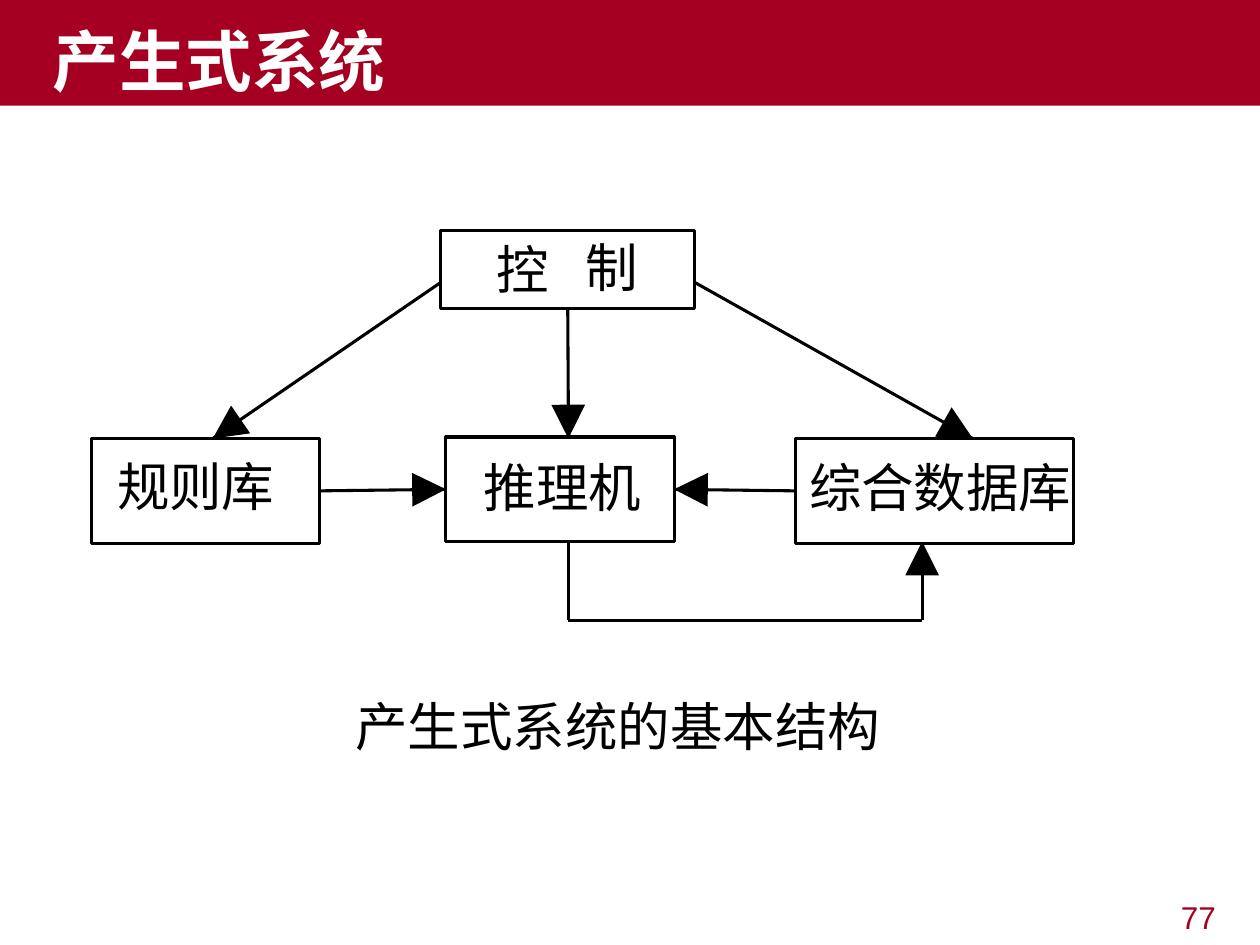
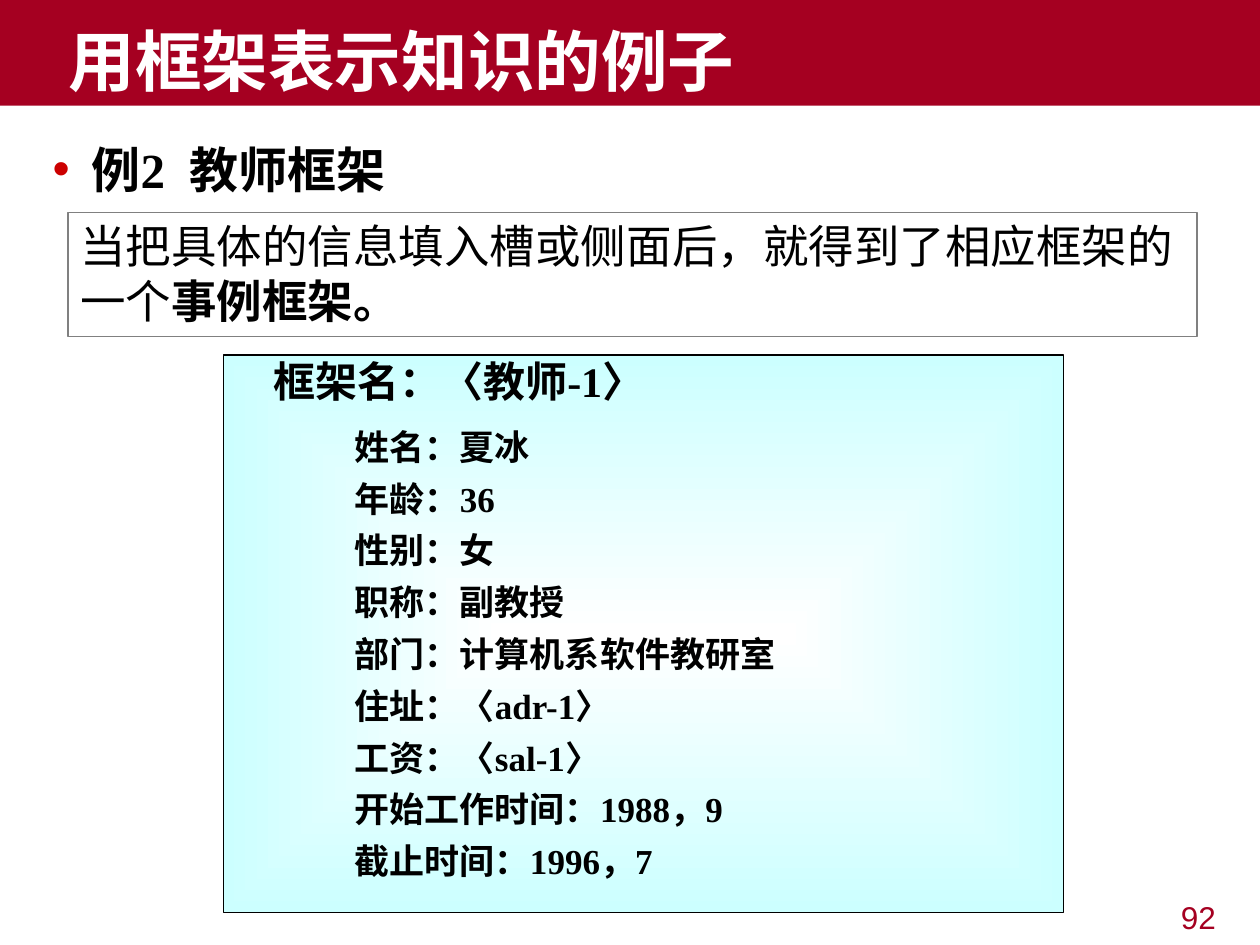
from math import hypot

from lxml.etree import SubElement
from pptx import Presentation
from pptx.dml.color import RGBColor
from pptx.enum.shapes import MSO_CONNECTOR, MSO_SHAPE
from pptx.enum.text import MSO_ANCHOR, MSO_AUTO_SIZE, PP_ALIGN
from pptx.oxml.ns import qn
from pptx.util import Cm, Pt

COLORS = {
    "band": "A50021", "white": "FFFFFF", "black": "000000",
    "bullet": "CC0000", "frame": "CCFFFF", "border": "808080",
}
SANS, SERIF, CHINESE = "Arial", "Times New Roman", "Noto Sans CJK SC"
LINE_HEIGHT = 1.19

# Lengths are centimetres: left, top, width, height
BOXES = {
    "control": (8.89, 4.65, 5.11, 1.57),
    "rules": (1.85, 8.84, 4.6, 2.11),
    "inference": (8.99, 8.81, 4.6, 2.11),
    "database": (16.03, 8.84, 5.61, 2.11),
}
LABELS = [
    ("控", 10.01, 4.8),
    ("制", 11.81, 4.75),
    ("规则库", 2.36, 9.17),
    ("推理机", 9.75, 9.19),
    ("综合数据库", 16.31, 9.19),
    ("产生式系统的基本结构", 7.16, 14),
]
# Start, end, has arrowhead; an end is a point or a (box, side) pair
LINKS = [
    (("control", 2), (11.46, 8.84), True),
    ((8.89, 5.69), (4.29, 8.84), True),
    ((14, 5.69), (19.61, 8.84), True),
    (("rules", 3), ("inference", 1), True),
    (("database", 1), ("inference", 3), True),
    ((11.46, 10.92), (11.46, 12.5), False),
    ((11.46, 12.5), (18.59, 12.5), False),
    ((18.59, 12.5), (18.59, 10.92), True),
]
HEAD_LENGTH, HEAD_HALF_WIDTH = Cm(0.68), Cm(0.34)

FRAME_NAME = "框架名：〈教师-1〉"
SLOTS = [
    "姓名：夏冰", "年龄：36", "性别：女", "职称：副教授", "部门：计算机系软件教研室",
    "住址：〈adr-1〉", "工资：〈sal-1〉", "开始工作时间：1988，9", "截止时间：1996，7",
]


def rgb(name):
    return RGBColor.from_string(COLORS[name])


def add_run(paragraph, text, size, font=SANS, color="black", bold=False):
    run = paragraph.add_run()
    run.text = text
    run.font.name, run.font.size, run.font.bold = font, Pt(size), bold
    run.font.color.rgb = rgb(color)
    properties = run._r.get_or_add_rPr()
    SubElement(properties, qn("a:ea")).set("typeface", CHINESE)
    return run


def format_paragraph(paragraph, size, factor=LINE_HEIGHT, margin=0, indent=0):
    paragraph.alignment = PP_ALIGN.LEFT
    paragraph.line_spacing = Pt(round(size * factor, 1))
    properties = paragraph._p.get_or_add_pPr()
    properties.set("marL", str(Cm(margin)))
    properties.set("indent", str(Cm(indent)))


def add_rectangle(slide, place, fill=None, line=None, width=0.75):
    shape = slide.shapes.add_shape(MSO_SHAPE.RECTANGLE, *map(Cm, place))
    shape.shadow.inherit = False
    if fill:
        shape.fill.solid()
        shape.fill.fore_color.rgb = rgb(fill)
    else:
        shape.fill.background()
    if line:
        shape.line.color.rgb = rgb(line)
        shape.line.width = Pt(width)
    else:
        shape.line.fill.background()
    shape.text_frame.word_wrap = True
    shape.text_frame.vertical_anchor = MSO_ANCHOR.TOP
    return shape


def add_text_box(slide, place):
    text_box = slide.shapes.add_textbox(*map(Cm, place))
    text_box.text_frame.word_wrap = True
    return text_box.text_frame


def add_base_slide(presentation, title, title_margin, number):
    slide = presentation.slides.add_slide(presentation.slide_layouts[6])
    paragraph = add_text_box(slide, (19.25, 17.98, 5.51, 0.99)).paragraphs[0]
    paragraph.alignment = PP_ALIGN.RIGHT
    add_run(paragraph, number, 18, color="band")
    band = add_rectangle(slide, (0, 0, 25.4, 2.13), fill="band").text_frame
    band.vertical_anchor = MSO_ANCHOR.BOTTOM
    format_paragraph(band.paragraphs[0], 38, margin=title_margin)
    add_run(band.paragraphs[0], title, 38, SERIF, "white", True)
    return slide


def add_label(slide, text, left, top):
    frame = add_text_box(slide, (left, top, 1.06 * len(text), 1.27))
    frame.word_wrap = False
    frame.auto_size = MSO_AUTO_SIZE.SHAPE_TO_FIT_TEXT
    frame.margin_left = frame.margin_right = frame.margin_top = frame.margin_bottom = 0
    format_paragraph(frame.paragraphs[0], 30)
    add_run(frame.paragraphs[0], text, 30, CHINESE)


def add_arrowhead(slide, connector):
    """Draw a filled triangle whose tip is the end of the connector."""
    tip_x, tip_y = connector.end_x, connector.end_y
    run_x, run_y = tip_x - connector.begin_x, tip_y - connector.begin_y
    length = hypot(run_x, run_y)
    unit_x, unit_y = run_x / length, run_y / length
    base_x, base_y = tip_x - HEAD_LENGTH * unit_x, tip_y - HEAD_LENGTH * unit_y
    corners = [
        (round(base_x - side * unit_y), round(base_y + side * unit_x))
        for side in (HEAD_HALF_WIDTH, -HEAD_HALF_WIDTH)
    ]
    builder = slide.shapes.build_freeform(tip_x, tip_y)
    builder.add_line_segments(corners, close=True)
    head = builder.convert_to_shape()
    head.shadow.inherit = False
    head.fill.solid()
    head.fill.fore_color.rgb = rgb("black")
    head.line.fill.background()


def add_link(slide, boxes, start, end, has_head):
    points = [(0, 0) if point[0] in boxes else point for point in (start, end)]
    connector = slide.shapes.add_connector(
        MSO_CONNECTOR.STRAIGHT, *(Cm(value) for point in points for value in point))
    connector.line.color.rgb = rgb("black")
    connector.line.width = Pt(1.75)
    SubElement(connector._element.spPr, qn("a:effectLst"))
    if start[0] in boxes:
        connector.begin_connect(boxes[start[0]], start[1])
    if end[0] in boxes:
        connector.end_connect(boxes[end[0]], end[1])
    if has_head:
        add_arrowhead(slide, connector)


def build_structure_slide(presentation):
    slide = add_base_slide(presentation, "产生式系统", 0.81, "77")
    boxes = {name: add_rectangle(slide, place, line="black", width=1.75)
             for name, place in BOXES.items()}
    for label in LABELS:
        add_label(slide, *label)
    for link in LINKS:
        add_link(slide, boxes, *link)


def fill_from_center(shape, center, edge):
    shape.fill.gradient()
    for stop, color in zip(shape.fill.gradient_stops, (center, edge)):
        stop.color.rgb = rgb(color)
    gradient = shape._element.spPr.find(qn("a:gradFill"))
    gradient.remove(gradient.find(qn("a:lin")))
    shade = SubElement(gradient, qn("a:path"))
    shade.set("path", "shape")
    rectangle = SubElement(shade, qn("a:fillToRect"))
    for side in "ltrb":
        rectangle.set(side, "50000")


def add_teacher_frame(slide):
    shape = add_rectangle(slide, (4.5, 7.16, 16.94, 11.23), line="black")
    fill_from_center(shape, "white", "frame")
    frame = shape.text_frame
    paragraph = frame.paragraphs[0]
    format_paragraph(paragraph, 24, 0.9 * LINE_HEIGHT, margin=0.76)
    add_run(paragraph, FRAME_NAME, 24, SERIF, bold=True)
    for index, slot in enumerate(SLOTS):
        paragraph = frame.add_paragraph()
        format_paragraph(paragraph, 20, 0.9 * LINE_HEIGHT, margin=2.4)
        paragraph.space_before = Pt(8.2 if index else 13.5)
        add_run(paragraph, slot, 20, SERIF, bold=True)


def add_example_heading(slide):
    paragraph = add_text_box(slide, (0.81, 2.57, 9.22, 1.55)).paragraphs[0]
    format_paragraph(paragraph, 28, 1.1 * LINE_HEIGHT, margin=0.79, indent=-0.79)
    properties = paragraph._p.get_or_add_pPr()
    bullet_color = SubElement(properties, qn("a:buClr"))
    SubElement(bullet_color, qn("a:srgbClr")).set("val", COLORS["bullet"])
    SubElement(properties, qn("a:buFont")).set("typeface", SANS)
    SubElement(properties, qn("a:buChar")).set("char", "•")
    add_run(paragraph, "例2", 28, SERIF, bold=True)
    gap = add_run(paragraph, " ", 28, SERIF, bold=True)
    gap._r.get_or_add_rPr().set("spc", "700")
    add_run(paragraph, "教师框架", 28, bold=True)


def build_frame_slide(presentation):
    slide = add_base_slide(presentation, "用框架表示知识的例子", 1.14, "92")
    add_teacher_frame(slide)
    add_example_heading(slide)
    note = add_rectangle(slide, (1.37, 4.29, 22.76, 2.49), "white", "border")
    paragraph = note.text_frame.paragraphs[0]
    format_paragraph(paragraph, 26)
    add_run(paragraph, "当把具体的信息填入槽或侧面后，就得到了相应框架的一个", 26)
    add_run(paragraph, "事例框架。", 26, bold=True)


def main():
    presentation = Presentation()
    presentation.slide_width, presentation.slide_height = Cm(25.4), Cm(19.05)
    build_structure_slide(presentation)
    build_frame_slide(presentation)
    presentation.save("out.pptx")


if __name__ == "__main__":
    main()
